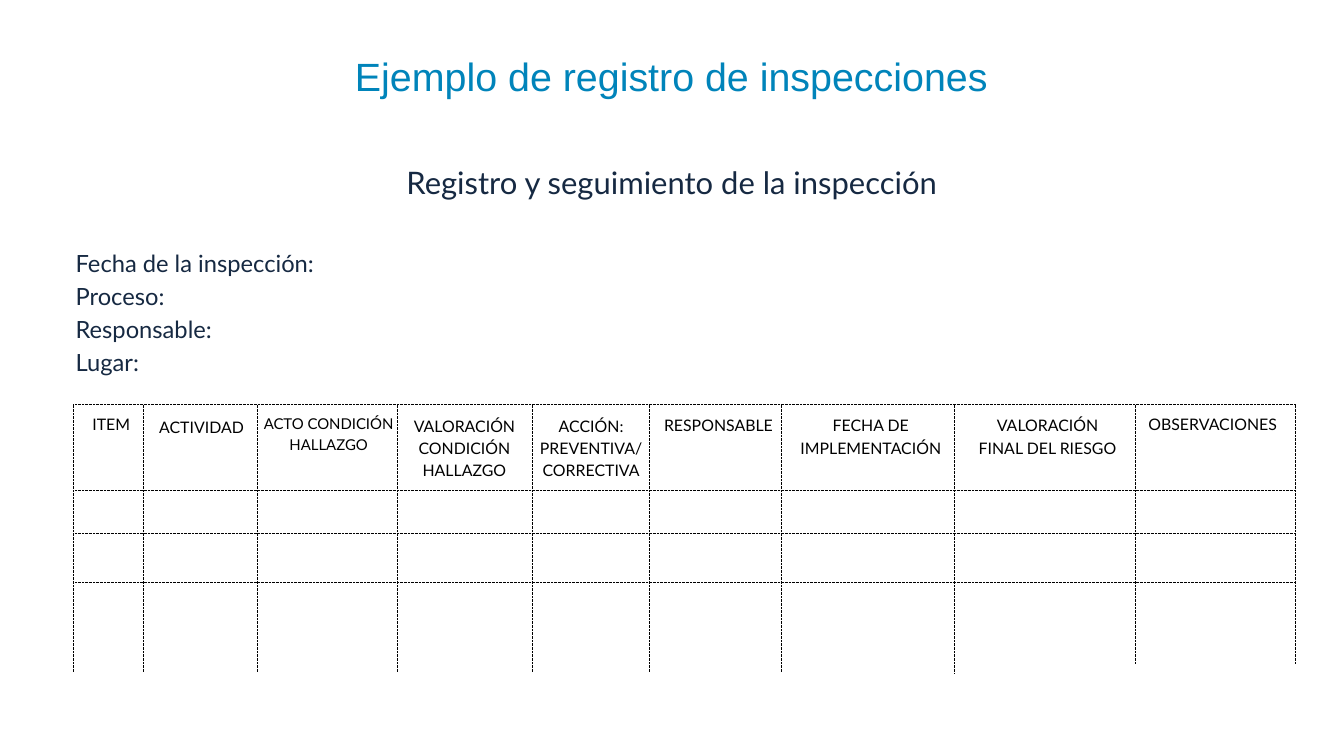
"""Build the inspection record slide with its form fields and ruled grid."""
from lxml import etree
from pptx import Presentation
from pptx.dml.color import RGBColor
from pptx.enum.dml import MSO_LINE
from pptx.enum.shapes import MSO_CONNECTOR
from pptx.enum.text import MSO_ANCHOR, MSO_AUTO_SIZE, PP_ALIGN
from pptx.oxml.ns import qn
from pptx.util import Pt

PX = 9525
BLUE = RGBColor(0x00, 0x84, 0xBA)
NAVY = RGBColor(0x16, 0x29, 0x42)
BLACK = RGBColor(0, 0, 0)
CENTER, LEFT = PP_ALIGN.CENTER, PP_ALIGN.LEFT
TOP = MSO_ANCHOR.TOP
NO_AUTOFIT = MSO_AUTO_SIZE.NONE
STRAIGHT = MSO_CONNECTOR.STRAIGHT
DOTTED = MSO_LINE.ROUND_DOT


def write_lines(shape, lines, font_name, color):
    frame = shape.text_frame
    frame.word_wrap = True
    frame.auto_size = NO_AUTOFIT
    frame.vertical_anchor = TOP
    frame.margin_left = frame.margin_top = frame.margin_right = frame.margin_bottom = 0
    for index, (words, size, spacing, align, before) in enumerate(lines):
        paragraph = frame.add_paragraph() if index else frame.paragraphs[0]
        paragraph.alignment = align
        paragraph.line_spacing = Pt(spacing)
        paragraph.space_before = Pt(before)
        run = paragraph.add_run()
        run.text = words
        run.font.name = font_name
        run.font.size = Pt(size)
        run.font.color.rgb = color


def draw_rule(x1, y1, x2, y2):
    rule = slide.shapes.add_connector(STRAIGHT, x1 * PX, y1 * PX, x2 * PX, y2 * PX)
    rule.line.color.rgb = BLACK
    rule.line.width = Pt(0.75)
    rule.line.dash_style = DOTTED
    etree.SubElement(rule._element.spPr, qn("a:effectLst"))


prs = Presentation()
prs.slide_width = 1920 * PX
prs.slide_height = 1080 * PX
slide = prs.slides.add_slide(prs.slide_layouts[5])

title = slide.shapes.title
title.left, title.top, title.width, title.height = 405 * PX, 75 * PX, 1109 * PX, 66 * PX
write_lines(title, [("Ejemplo de registro de inspecciones", 42.2, 50.7, CENTER, 0)], "Arial", BLUE)

form = slide.shapes.add_textbox(108 * PX, 225 * PX, 1704 * PX, 355 * PX)
form_lines = [("Registro y seguimiento de la inspección", 33.2, 46.4, CENTER, 0)]
fields = ["Fecha de la inspección:", "Proceso:", "Responsable:", "Lugar:"]
for index, field in enumerate(fields):
    form_lines.append((field, 25.4, 35.5, LEFT, 0 if index else 46.4))
write_lines(form, form_lines, "Lato", NAVY)

headings = [
    (130, 588, 58, 17, ["ITEM"]),
    (227, 592, 122, 17, ["ACTIVIDAD"]),
    (375, 588, 189, 16, ["ACTO CONDICIÓN", "HALLAZGO"]),
    (588, 590, 151, 17, ["VALORACIÓN", "CONDICIÓN", "HALLAZGO"]),
    (663, 590, 363, 17, ["ACCIÓN:", "PREVENTIVA/", "CORRECTIVA"]),
    (845, 590, 363, 17, ["RESPONSABLE"]),
    (1140, 590, 208, 17, ["FECHA DE", "IMPLEMENTACIÓN"]),
    (1395, 590, 203, 17, ["VALORACIÓN", "FINAL DEL RIESGO"]),
    (1639, 588, 187, 17, ["OBSERVACIONES"]),
]
for left, top, width, size, words in headings:
    heading = slide.shapes.add_textbox(left * PX, top * PX, width * PX, 30 * len(words) * PX)
    lines = [(word, size, size * 1.4, CENTER, 0) for word in words]
    write_lines(heading, lines, "Lato", BLACK)

GRID_LEFT, GRID_RIGHT, GRID_TOP = 105, 1851, 578
column_ends = [
    (GRID_LEFT, 961), (205, 961), (367, 961), (567, 961), (760, 961),
    (928, 961), (1116, 961), (1364, 963), (1622, 948), (GRID_RIGHT, 949),
]
for x, bottom in column_ends:
    draw_rule(x, GRID_TOP, x, bottom)
for y in (GRID_TOP, 700, 762, 832):
    draw_rule(GRID_LEFT, y, GRID_RIGHT, y)

prs.save("out.pptx")
